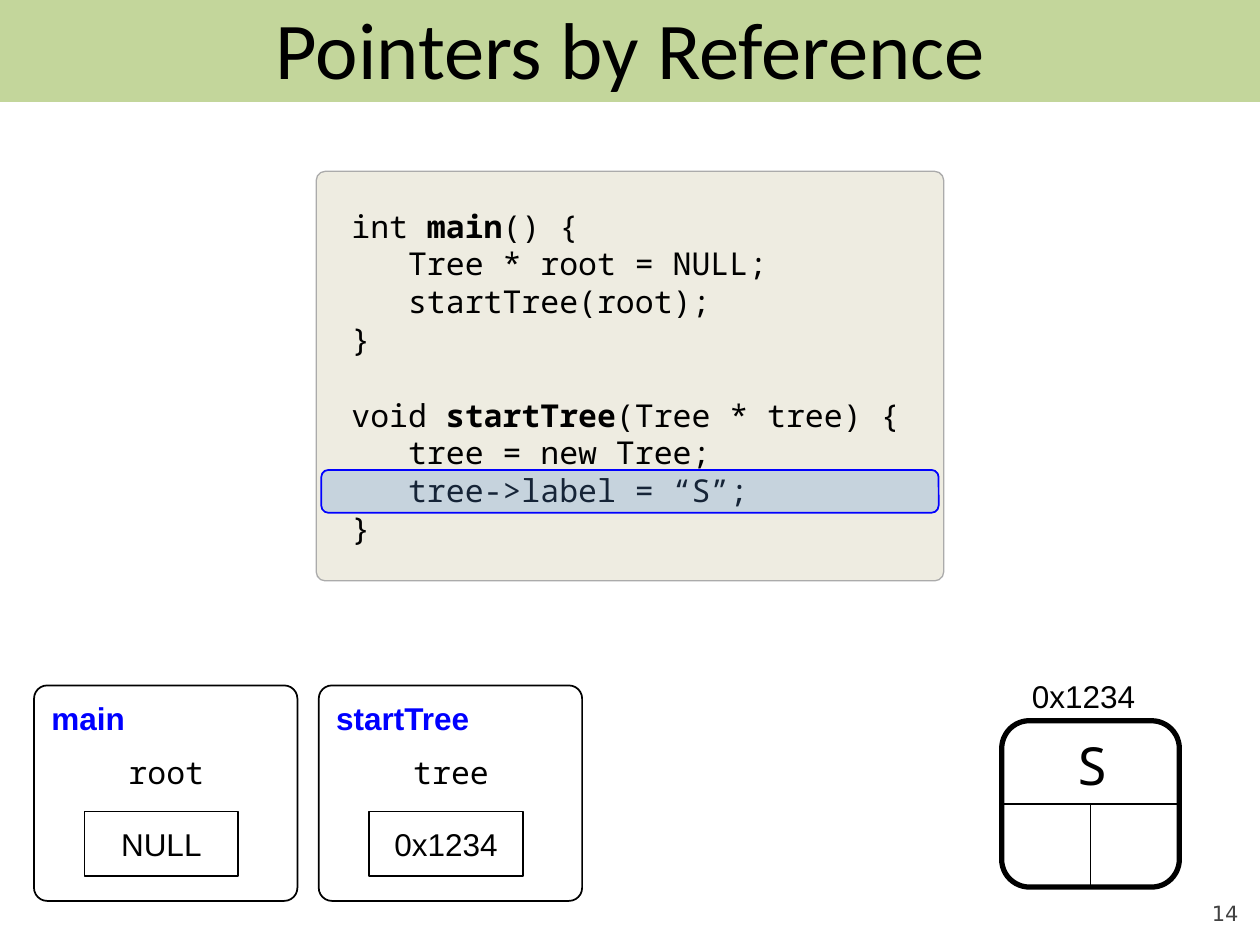
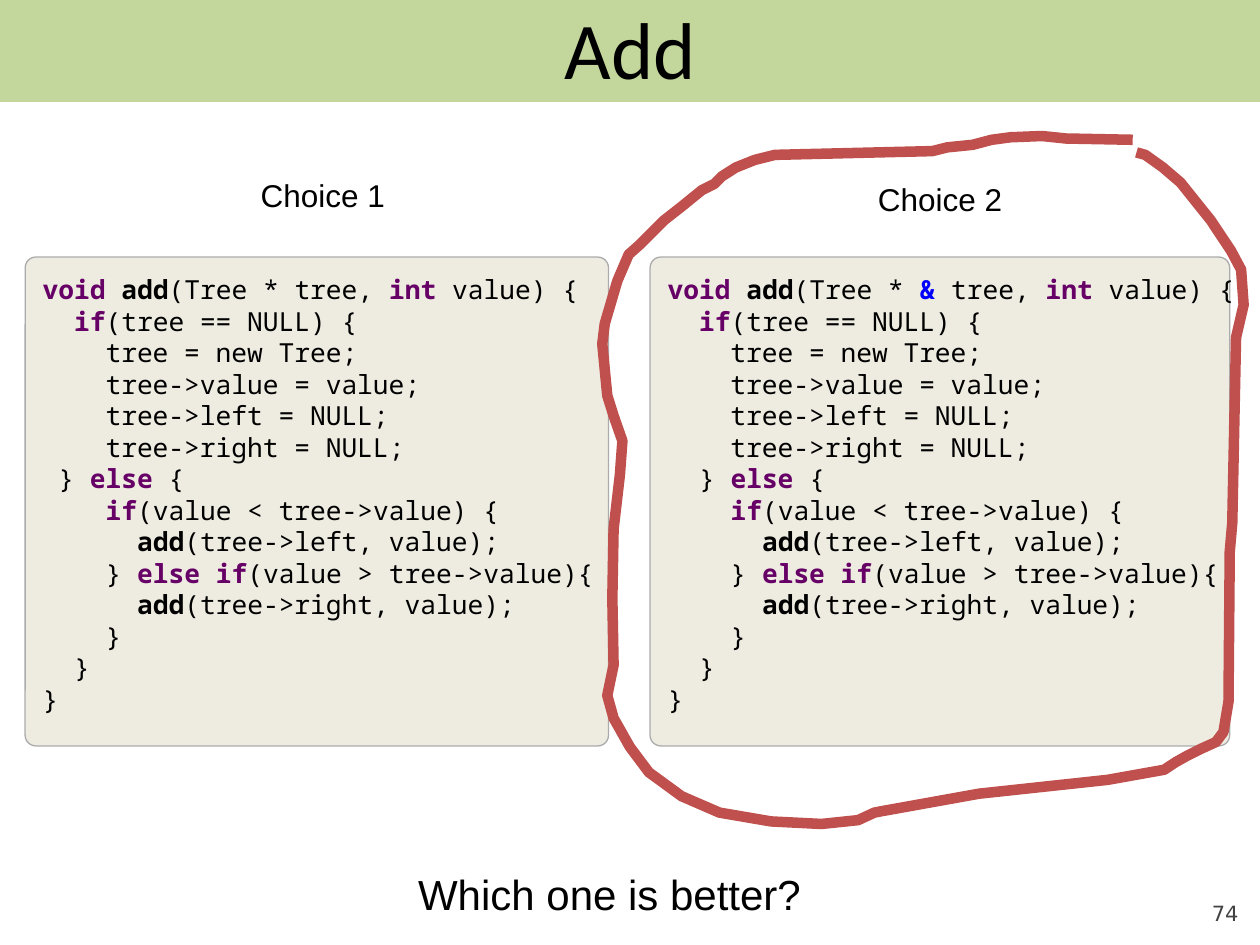
from lxml import etree
from pptx import Presentation
from pptx.dml.color import RGBColor
from pptx.enum.shapes import MSO_CONNECTOR, MSO_SHAPE
from pptx.enum.text import MSO_ANCHOR, PP_ALIGN
from pptx.oxml.ns import qn
from pptx.util import Inches, Pt

RECT, ROUND = MSO_SHAPE.RECTANGLE, MSO_SHAPE.ROUNDED_RECTANGLE
LEFT, CENTER, RIGHT = PP_ALIGN.LEFT, PP_ALIGN.CENTER, PP_ALIGN.RIGHT
TOP, MIDDLE, BOTTOM = MSO_ANCHOR.TOP, MSO_ANCHOR.MIDDLE, MSO_ANCHOR.BOTTOM
STRAIGHT = MSO_CONNECTOR.STRAIGHT

BLACK, WHITE, BLUE = "000000", "FFFFFF", "0000FF"
BAND, PANEL, PANEL_EDGE = "C3D69B", "EEECE1", "ABABAB"
KEYWORD, MARKER, HIGHLIGHT, GREY = "660066", "C0504D", "558ED5", "424242"
SANS, MONO = "Arial", "Noto Sans Mono"
CODE_COLORS = {"void": KEYWORD, "int": KEYWORD, "if": KEYWORD,
               "else": KEYWORD, "else if": KEYWORD, "&": BLUE}

# Text between bars is bold; an empty string is an empty code line.
POINTER_CODE = [
    "int |main|() {",
    "   Tree * root = NULL;",
    "   startTree(root);",
    "}",
    "",
    "void |startTree|(Tree * tree) {",
    "   tree = new Tree;",
    "   tree->label = “S”;",
    "}",
]
CIRCLE_POINTS = [
    (8.99, 1.11), (8.46, 1.1), (8.27, 1.08), (8.02, 1.09), (7.87, 1.11),
    (7.72, 1.15), (7.52, 1.17), (7.4, 1.2), (6.15, 1.23), (5.99, 1.27),
    (5.84, 1.33), (5.73, 1.4), (5.67, 1.46), (5.57, 1.51), (5.41, 1.64),
    (5.27, 1.75), (5.08, 1.94), (4.99, 2.02), (4.9, 2.23), (4.8, 2.57),
    (4.78, 2.73), (4.82, 3.14), (4.87, 3.3), (4.94, 3.5), (4.92, 3.77),
    (4.87, 4.2), (4.86, 4.75), (4.87, 5.28), (4.82, 5.52), (4.87, 5.7),
    (5, 5.93), (5.15, 6.13), (5.41, 6.32), (5.71, 6.45), (6.12, 6.52),
    (6.52, 6.54), (6.81, 6.51), (6.94, 6.45), (6.99, 6.44), (7.77, 6.3),
    (8.79, 6.19), (9.24, 6.11), (9.33, 6.05), (9.42, 6), (9.54, 5.94),
    (9.65, 5.89), (9.71, 5.81), (9.75, 5.57), (9.76, 4.38), (9.78, 4.15),
    (9.81, 2.68), (9.87, 2.42), (9.85, 2.14), (9.77, 1.99), (9.61, 1.75),
    (9.37, 1.45), (9.23, 1.33), (9.09, 1.23), (9.02, 1.21),
]


def rgb(color):
    return RGBColor.from_string(color)


def paint(s, fill=None, line=None, width=1):
    s.shadow.inherit = False
    if fill:
        s.fill.solid()
        s.fill.fore_color.rgb = rgb(fill)
    else:
        s.fill.background()
    if line:
        s.line.color.rgb = rgb(line)
        s.line.width = Pt(width)
    else:
        s.line.fill.background()


def add_box(slide, box, kind=ROUND, adj=None, **look):
    s = slide.shapes.add_shape(kind, *map(Inches, box))
    if adj is not None:
        s.adjustments[0] = adj
    paint(s, **look)
    return s


def format_run(r, size=18, name=SANS, color=BLACK, bold=False):
    for key, value in {"size": Pt(size), "name": name, "bold": bold}.items():
        setattr(r.font, key, value)
    r.font.color.rgb = rgb(color)


def write(s, text, align=LEFT, anchor=TOP, **font):
    tf = s.text_frame
    tf.vertical_anchor = anchor
    p = tf.paragraphs[0]
    p.alignment = align
    r = p.add_run()
    r.text = text
    format_run(r, **font)
    return tf


def add_label(slide, box, text, **style):
    s = slide.shapes.add_textbox(*map(Inches, box))
    tf = write(s, text, **style)
    tf.word_wrap = True
    return tf


def add_line(slide, x1, y1, x2, y2):
    c = slide.shapes.add_connector(STRAIGHT, *map(Inches, (x1, y1, x2, y2)))
    c.line.color.rgb = rgb(BLACK)
    c.line.width = Pt(0.75)
    etree.SubElement(c._element.spPr, qn("a:effectLst"))


def add_base(prs, title, number):
    """Add a slide with the title band, title and page number."""
    slide = prs.slides.add_slide(prs.slide_layouts[5])
    band = add_box(slide, (0, 0, 10, 0.81), RECT, fill=BAND)
    slide.shapes._spTree.insert(2, band._element)
    s = slide.shapes.title
    s.left, s.top, s.width, s.height = map(Inches, (0.5, 0, 9, 0.75))
    write(s, title, align=CENTER, anchor=MIDDLE, size=46, name="Calibri")
    tf = add_label(slide, (9, 6.95, 0.83, 0.4), str(number), align=RIGHT,
                   anchor=BOTTOM, size=12, name="DejaVu Sans", color=GREY)
    for side in ("left", "right", "top", "bottom"):
        setattr(tf, f"margin_{side}", 0)
    return slide


def add_code(slide, box, lines, size, inset, keywords=True):
    """Draw a code panel; its text may run slightly past the right edge."""
    add_box(slide, box, adj=0.022, fill=PANEL, line=PANEL_EDGE, width=0.75)
    x, y, w, h = box
    dx, dy = inset
    s = slide.shapes.add_textbox(*map(Inches, (x + dx, y + dy, w + 0.1, h - 2 * dy)))
    tf = s.text_frame
    tf.word_wrap = True
    tf.margin_right = 0
    p, gap = tf.paragraphs[0], 0
    for i, line in enumerate(lines):
        if not line:
            gap = size * 1.2
            continue
        if i:
            p = tf.add_paragraph()
        p.space_before, gap = Pt(gap), 0
        for j, part in enumerate(line.split("|")):
            if part:
                bold = j % 2 == 1
                color = CODE_COLORS.get(part.strip(), BLACK) if bold and keywords else BLACK
                r = p.add_run()
                r.text = part
                format_run(r, size, MONO, color, bold)


def add_stack_frame(slide, x, y, function, variable, value):
    add_box(slide, (x, y, 2.09, 1.71), adj=0.061, fill=WHITE, line=BLACK)
    add_label(slide, (x + 0.04, y + 0.06, 1.5, 0.4), function, color=BLUE, bold=True)
    add_label(slide, (x + 0.02, y + 0.49, 2.06, 0.4), variable, align=CENTER, name=MONO)
    s = add_box(slide, (x + 0.4, y + 1, 1.22, 0.51), RECT, line=BLACK)
    write(s, value, align=CENTER, anchor=MIDDLE)


def add_tree_node(slide, x, y, label, address):
    w, h = 1.41, 1.32
    add_box(slide, (x, y, w, h), line=BLACK, width=3)
    add_line(slide, x, y + h / 2, x + w, y + h / 2)
    add_line(slide, x + w / 2, y + h / 2, x + w / 2, y + h)
    add_label(slide, (x + 0.37, y + 0.05, 0.7, 0.61), label,
              align=CENTER, size=30, name=MONO)
    add_label(slide, (x + 0.04, y - 0.45, 1.22, 0.51), address,
              align=CENTER, anchor=MIDDLE)


def highlight_line(slide, box):
    s = add_box(slide, box, fill=HIGHLIGHT, line=BLUE)
    color = s._element.spPr.find(qn("a:solidFill"))[0]
    etree.SubElement(color, qn("a:alpha"), val="26000")


def add_code_lines(parameter, else_indent):
    """Return the lines of the add function for one parameter type."""
    return [
        f"|void ||add|({parameter} tree, |int |value) {{",
        "  |if|(tree == NULL) {",
        "    tree = new Tree;",
        "    tree->value = value;",
        "    tree->left = NULL;",
        "    tree->right = NULL;",
        else_indent + "} |else |{",
        "    |if|(value < tree->value) {",
        "      |add|(tree->left, value);",
        "    } |else if|(value > tree->value){",
        "      |add|(tree->right, value);",
        "    }",
        "  }",
        "}",
    ]


def circle_choice(slide):
    start, *rest = [(Inches(x), Inches(y)) for x, y in CIRCLE_POINTS]
    builder = slide.shapes.build_freeform(*start)
    builder.add_line_segments(rest, close=False)
    paint(builder.convert_to_shape(), line=MARKER, width=6)


def pointers_slide(prs):
    slide = add_base(prs, "Pointers by Reference", 14)
    add_code(slide, (2.51, 1.36, 4.98, 3.25), POINTER_CODE, 18, (0.18, 0.23),
             keywords=False)
    highlight_line(slide, (2.55, 3.73, 4.9, 0.34))
    add_stack_frame(slide, 0.27, 5.44, "main", "root", "NULL")
    add_stack_frame(slide, 2.53, 5.44, "startTree", "tree", "0x1234")
    add_tree_node(slide, 7.95, 5.72, "S", "0x1234")


def add_choices_slide(prs):
    slide = add_base(prs, "Add", 74)
    choices = [
        ("Choice 1", (1.97, 1.35), (0.2, 2.04, 4.63, 3.88), "Tree *", " "),
        ("Choice 2", (6.87, 1.38), (5.16, 2.04, 4.6, 3.88), "Tree * |&|", "  "),
    ]
    for label, (x, y), box, parameter, else_indent in choices:
        add_code(slide, box, add_code_lines(parameter, else_indent), 15, (0.04, 0.08))
        add_label(slide, (x, y, 1.3, 0.4), label)
    circle_choice(slide)
    add_label(slide, (3.22, 6.84, 3.5, 0.5), "Which one is better?", size=24)


def main():
    prs = Presentation()
    prs.slide_width, prs.slide_height = Inches(10), Inches(7.5)
    pointers_slide(prs)
    add_choices_slide(prs)
    prs.save("out.pptx")


if __name__ == "__main__":
    main()
